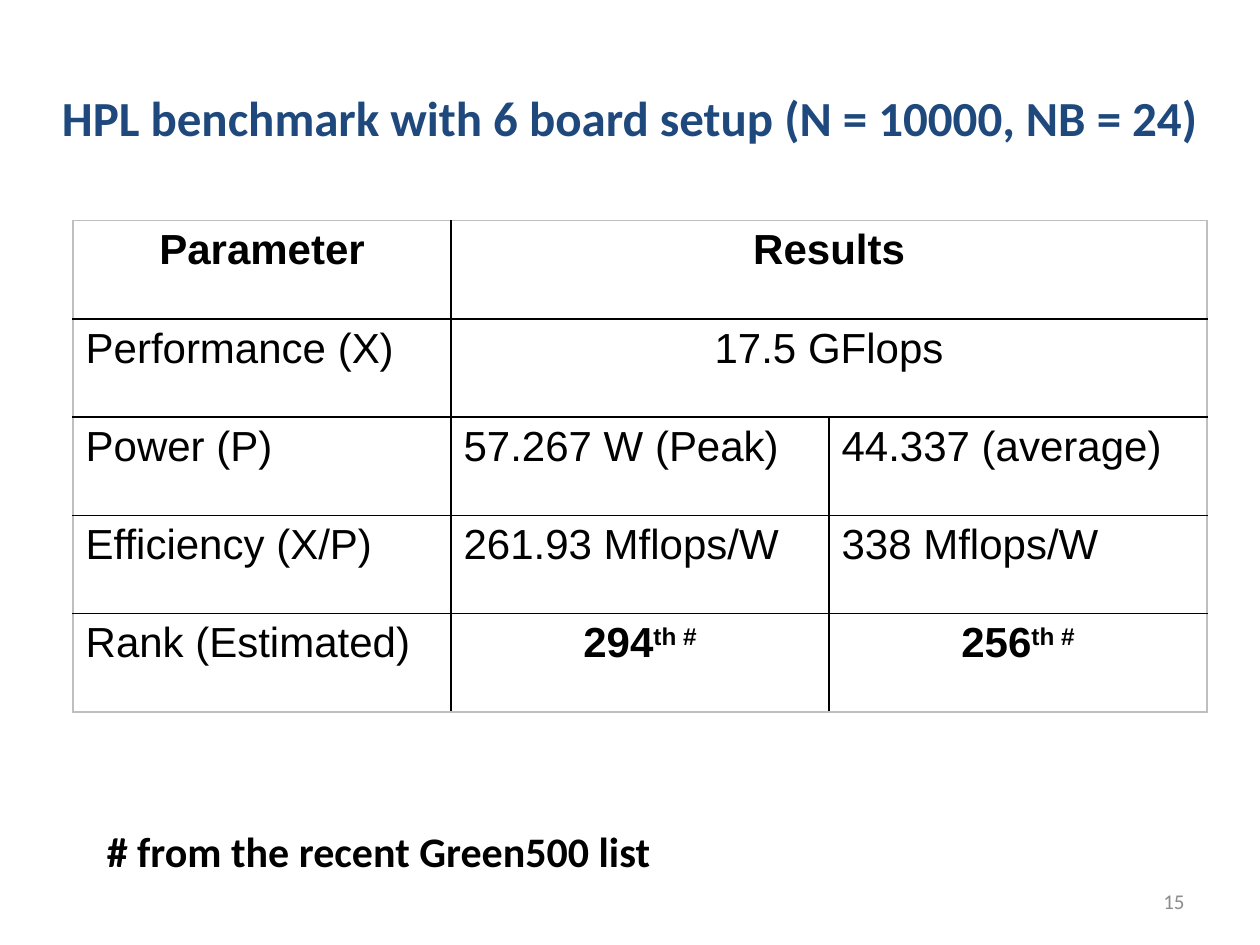
from lxml.etree import SubElement
from pptx import Presentation
from pptx.dml.color import RGBColor
from pptx.enum.text import MSO_ANCHOR, PP_ALIGN as Align
from pptx.oxml.ns import qn
from pptx.util import Inches, Pt

COLORS = {"title": "1F497D", "text": "000000", "number": "8C8C8C",
          "inner": "000000", "outer": "BFBFBF"}
TITLE = "HPL benchmark with 6 board setup (N = 10000, NB = 24)"
FOOTNOTE = "# from the recent Green500 list"
PAGE_NUMBER = "15"
# A row with two entries has its result merged over both result columns.
# A tuple is a number and its superscript.
ROWS = [
    ["Parameter", "Results"],
    ["Performance (X)", "17.5 GFlops"],
    ["Power (P)", "57.267 W (Peak)", "44.337 (average)"],
    ["Efficiency (X/P)", "261.93 Mflops/W", "338 Mflops/W"],
    ["Rank (Estimated)", ("294", "th #"), ("256", "th #")],
]
COLUMNS = 3
COLUMN_WIDTH, ROW_HEIGHT = 3, 0.78
TABLE_LEFT, TABLE_TOP = 0.58, 1.75


def style(paragraph, face, size, color, bold=False, align=Align.LEFT):
    font = paragraph.font
    font.name, font.size, font.bold = face, Pt(size), bold
    font.color.rgb = RGBColor.from_string(COLORS[color])
    paragraph.alignment = align


def set_borders(cell, outer_sides):
    properties = cell._tc.get_or_add_tcPr()
    for side in "LRTB":
        color = COLORS["outer" if side in outer_sides else "inner"]
        line = SubElement(properties, qn(f"a:ln{side}"), w=str(Pt(1)))
        fill = SubElement(line, qn("a:solidFill"))
        SubElement(fill, qn("a:srgbClr"), val=color)


def fill_cell(cell, content, bold, align):
    paragraph = cell.text_frame.paragraphs[0]
    style(paragraph, "Arial", 24, "text", bold, align)
    number, superscript = content if isinstance(content, tuple) else (content, "")
    paragraph.add_run().text = number
    if superscript:
        raised = paragraph.add_run()
        raised.text = superscript
        raised.font._element.set("baseline", "30000")


def add_results(slide):
    table = slide.shapes.add_table(
        len(ROWS), COLUMNS, Inches(TABLE_LEFT), Inches(TABLE_TOP),
        Inches(COLUMNS * COLUMN_WIDTH), Inches(len(ROWS) * ROW_HEIGHT)).table
    table.first_row = table.horz_banding = False
    for r, entries in enumerate(ROWS):
        merged = len(entries) < COLUMNS
        if merged:
            table.cell(r, 1).merge(table.cell(r, COLUMNS - 1))
        for c, content in enumerate(entries):
            cell = table.cell(r, c)
            ranked = isinstance(content, tuple)
            centred = r == 0 or ranked or (merged and c > 0)
            fill_cell(cell, content, r == 0 or ranked,
                      Align.CENTER if centred else Align.LEFT)
            edges = {"L": c == 0, "R": c == len(entries) - 1,
                     "T": r == 0, "B": r == len(ROWS) - 1}
            set_borders(cell, [side for side, outer in edges.items() if outer])
        for cell in table.rows[r].cells:
            cell.fill.background()


def add_label(slide, text, box, wrap, *look):
    frame = slide.shapes.add_textbox(*map(Inches, box)).text_frame
    frame.word_wrap = wrap
    frame.text = text
    style(frame.paragraphs[0], "Calibri", *look)
    return frame


def main():
    deck = Presentation()
    deck.slide_width, deck.slide_height = Inches(10), Inches(7.5)
    slide = deck.slides.add_slide(deck.slide_layouts[5])

    title = slide.shapes.title
    title.left, title.top, title.width, title.height = map(
        Inches, (0.33, 0.3, 9.33, 1.25))
    title.text_frame.text = TITLE
    title.text_frame.vertical_anchor = MSO_ANCHOR.MIDDLE
    style(title.text_frame.paragraphs[0], "Calibri", 28, "title", True, Align.CENTER)

    add_results(slide)
    number = add_label(slide, PAGE_NUMBER, (7.17, 6.95, 2.33, 0.4), True,
                       12, "number", False, Align.RIGHT)
    number.vertical_anchor = MSO_ANCHOR.MIDDLE
    add_label(slide, FOOTNOTE, (0.75, 6.5, 4.56, 0.5), False, 24, "text", True)
    deck.save("out.pptx")


if __name__ == "__main__":
    main()
